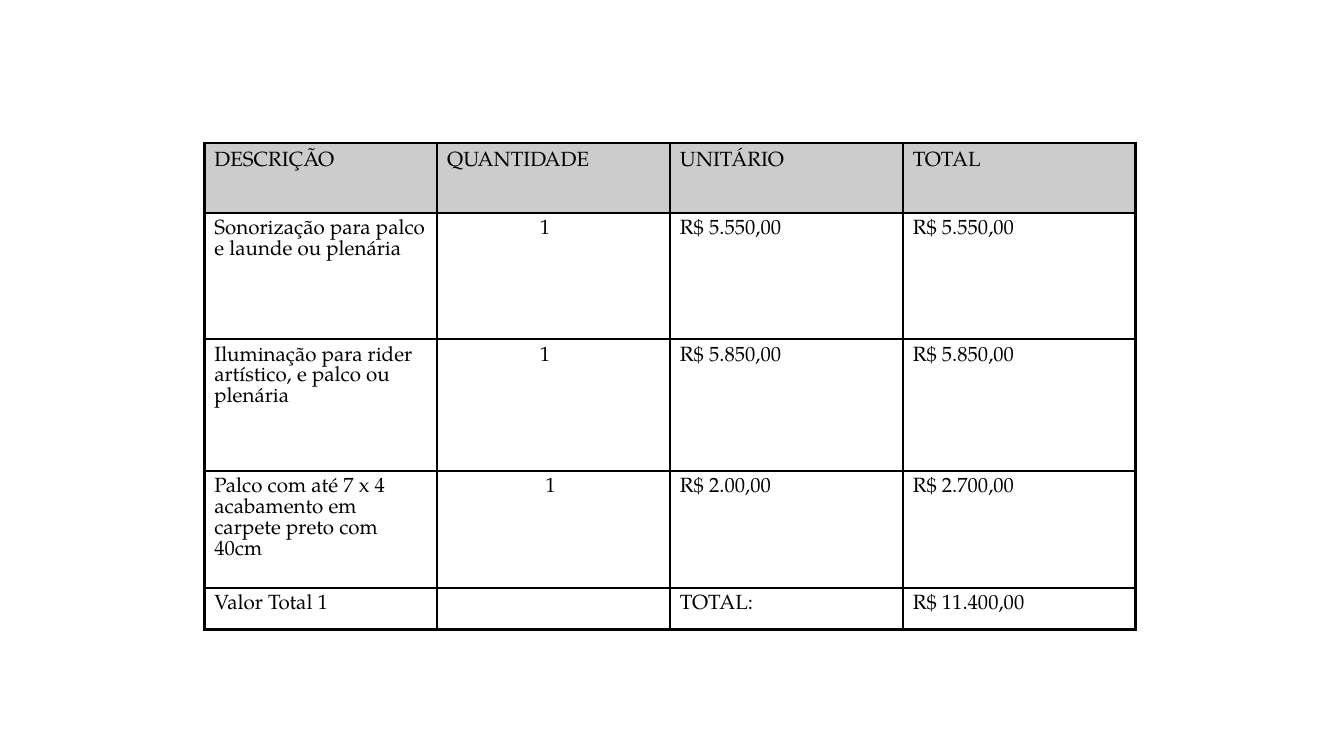
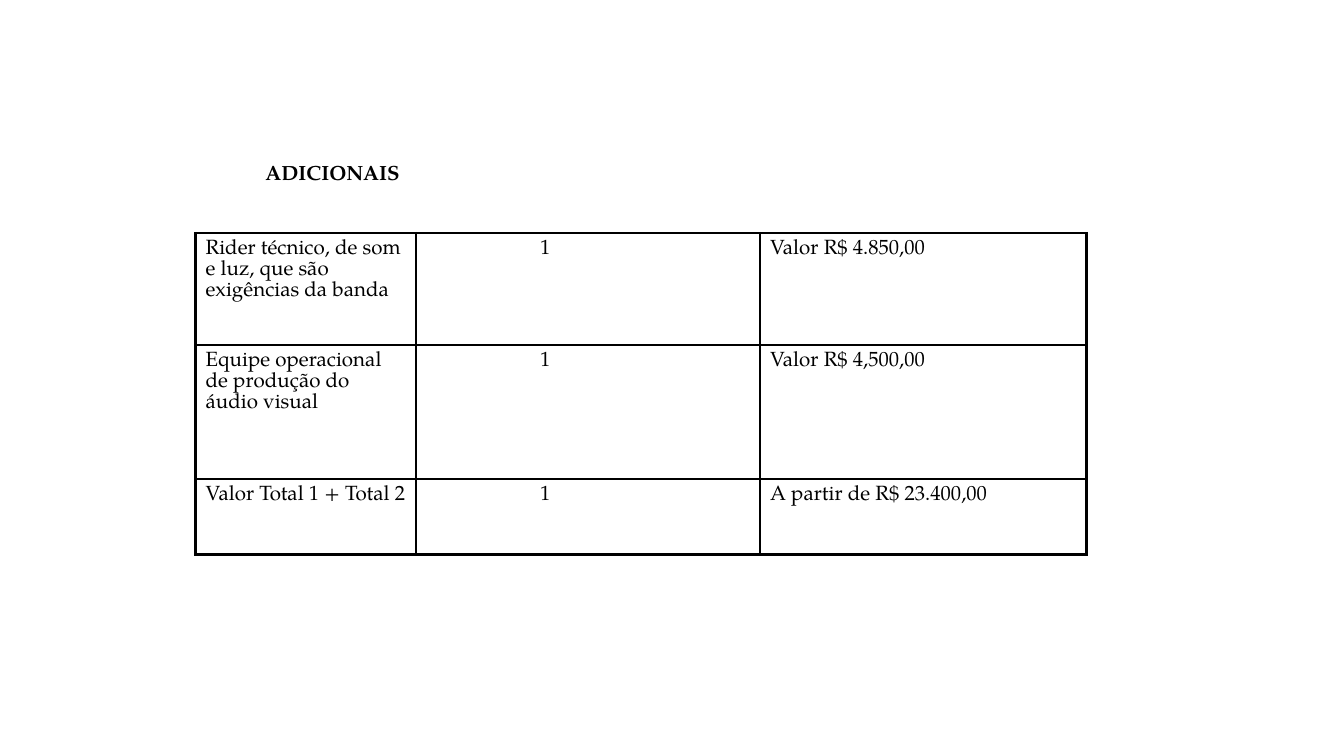
from dataclasses import dataclass
from typing import Any, Optional

from lxml import etree
from pptx import Presentation, util as u
from pptx.dml.color import RGBColor
from pptx.enum import text as t
from pptx.oxml import ns

PX = u.Inches(1) // 400
SLIDE_SIZE = {"slide_width": 4000 * PX, "slide_height": 2250 * PX}
FONT = "TeX Gyre Pagella"
TEXT_SIZE = u.Pt(11)
HEADER_SPACING = 1.07
BORDER_WIDTH = u.Pt(1.47)

BLACK = RGBColor(0x00, 0x00, 0x00)
HEADER_GREY = RGBColor(0xCC, 0xCC, 0xCC)

CELL_FORMAT = {
    "margin_left": 30 * PX,
    "margin_right": 30 * PX,
    "margin_top": 20 * PX,
    "margin_bottom": 20 * PX,
    "vertical_anchor": t.MSO_ANCHOR.TOP,
}
HEADING_FORMAT = {
    "margin_left": 40 * PX,
    "margin_right": 40 * PX,
    "margin_top": 40 * PX,
    "margin_bottom": 40 * PX,
    "vertical_anchor": t.MSO_ANCHOR.MIDDLE,
    "word_wrap": True,
}


@dataclass(frozen=True)
class Entry:
    """Cell text, with its left indent in px."""
    text: str
    indent: int = 0


@dataclass(frozen=True)
class Budget:
    left: int
    top: int
    columns: tuple[int, ...]
    heights: tuple[int, ...]
    rows: tuple[tuple[Entry, ...], ...]
    has_header: bool = False


@dataclass(frozen=True)
class Heading:
    left: int
    top: int
    width: int
    height: int
    text: str


def entries(*texts: str) -> tuple[Entry, ...]:
    return tuple(Entry(text) for text in texts)


def item(description: str, indent: int, *prices: str) -> tuple[Entry, ...]:
    """One unit of a service, with the quantity set in by indent."""
    return Entry(description), Entry("1", indent), *entries(*prices)


SERVICES = Budget(
    608, 426, (693,) * 4, (208, 376, 392, 348, 124),
    (
        entries("DESCRIÇÃO", "QUANTIDADE", "UNITÁRIO", "TOTAL"),
        item("Sonorização para palco e launde ou plenária", 276,
             "R$ 5.550,00", "R$ 5.550,00"),
        item("Iluminação para rider artístico, e palco ou plenária", 276,
             "R$ 5.850,00", "R$ 5.850,00"),
        item("Palco com até 7 x 4 acabamento em carpete preto com 40cm", 292,
             "R$ 2.00,00", "R$ 2.700,00"),
        entries("Valor Total 1", "", "TOTAL:", "R$ 11.400,00"),
    ),
    has_header=True,
)
EXTRAS_HEADING = Heading(750, 380, 1312, 260, "ADICIONAIS")
EXTRAS = Budget(
    582, 694, (656, 1024, 972), (332, 400, 224),
    (
        item("Rider técnico, de som e luz, que são exigências da banda", 340,
             "Valor R$ 4.850,00"),
        item("Equipe operacional de produção do áudio visual", 340,
             "Valor R$ 4,500,00"),
        item("Valor Total 1 + Total 2", 340, "A partir de R$ 23.400,00"),
    ),
)


def apply_format(target: Any, values: dict[str, Any]) -> None:
    for name, value in values.items():
        setattr(target, name, value)


def write(paragraph: Any, text: str, spacing: float, bold: bool = False) -> None:
    apply_format(paragraph, {"alignment": t.PP_ALIGN.LEFT, "line_spacing": spacing})
    if not text:
        # An empty cell keeps the text size, so that its row does not grow.
        end = etree.SubElement(paragraph._p, ns.qn("a:endParaRPr"))
        end.set("sz", str(int(TEXT_SIZE.pt * 100)))
        return
    run = paragraph.add_run()
    run.text = text
    apply_format(run.font, {"name": FONT, "size": TEXT_SIZE, "bold": bold})
    run.font.color.rgb = BLACK


def add_borders(cell: Any) -> None:
    properties = cell._tc.get_or_add_tcPr()
    for side in ("lnL", "lnR", "lnT", "lnB"):
        line = etree.SubElement(properties, ns.qn(f"a:{side}"), w=str(int(BORDER_WIDTH)))
        fill = etree.SubElement(line, ns.qn("a:solidFill"))
        etree.SubElement(fill, ns.qn("a:srgbClr"), val=str(BLACK))


def fill_cell(cell: Any, entry: Entry, is_header: bool) -> None:
    apply_format(cell, CELL_FORMAT)
    add_borders(cell)
    if is_header:
        cell.fill.solid()
        cell.fill.fore_color.rgb = HEADER_GREY
    else:
        cell.fill.background()
    paragraph = cell.text_frame.paragraphs[0]
    if entry.indent:
        indents = paragraph._p.get_or_add_pPr()
        indents.set("marL", str(entry.indent * PX))
        indents.set("indent", "0")
    write(paragraph, entry.text, HEADER_SPACING if is_header else 1.0)


def draw_budget(slide: Any, budget: Budget) -> None:
    table = slide.shapes.add_table(
        len(budget.heights), len(budget.columns),
        budget.left * PX, budget.top * PX,
        sum(budget.columns) * PX, sum(budget.heights) * PX,
    ).table
    apply_format(table, {"first_row": False, "horz_banding": False})
    for column, width in zip(table.columns, budget.columns):
        column.width = width * PX
    for index, (row, height) in enumerate(zip(table.rows, budget.heights)):
        row.height = height * PX
        for cell, entry in zip(row.cells, budget.rows[index]):
            fill_cell(cell, entry, budget.has_header and index == 0)


def draw_heading(slide: Any, heading: Heading) -> None:
    frame = slide.shapes.add_textbox(
        heading.left * PX, heading.top * PX, heading.width * PX, heading.height * PX
    ).text_frame
    apply_format(frame, HEADING_FORMAT)
    write(frame.paragraphs[0], heading.text, HEADER_SPACING, bold=True)


def add_budget_slide(deck: Any, budget: Budget, heading: Optional[Heading] = None) -> None:
    slide = deck.slides.add_slide(deck.slide_layouts[6])
    if heading:
        draw_heading(slide, heading)
    draw_budget(slide, budget)


def main() -> None:
    deck = Presentation()
    apply_format(deck, SLIDE_SIZE)
    add_budget_slide(deck, SERVICES)
    add_budget_slide(deck, EXTRAS, EXTRAS_HEADING)
    deck.save("out.pptx")


if __name__ == "__main__":
    main()
